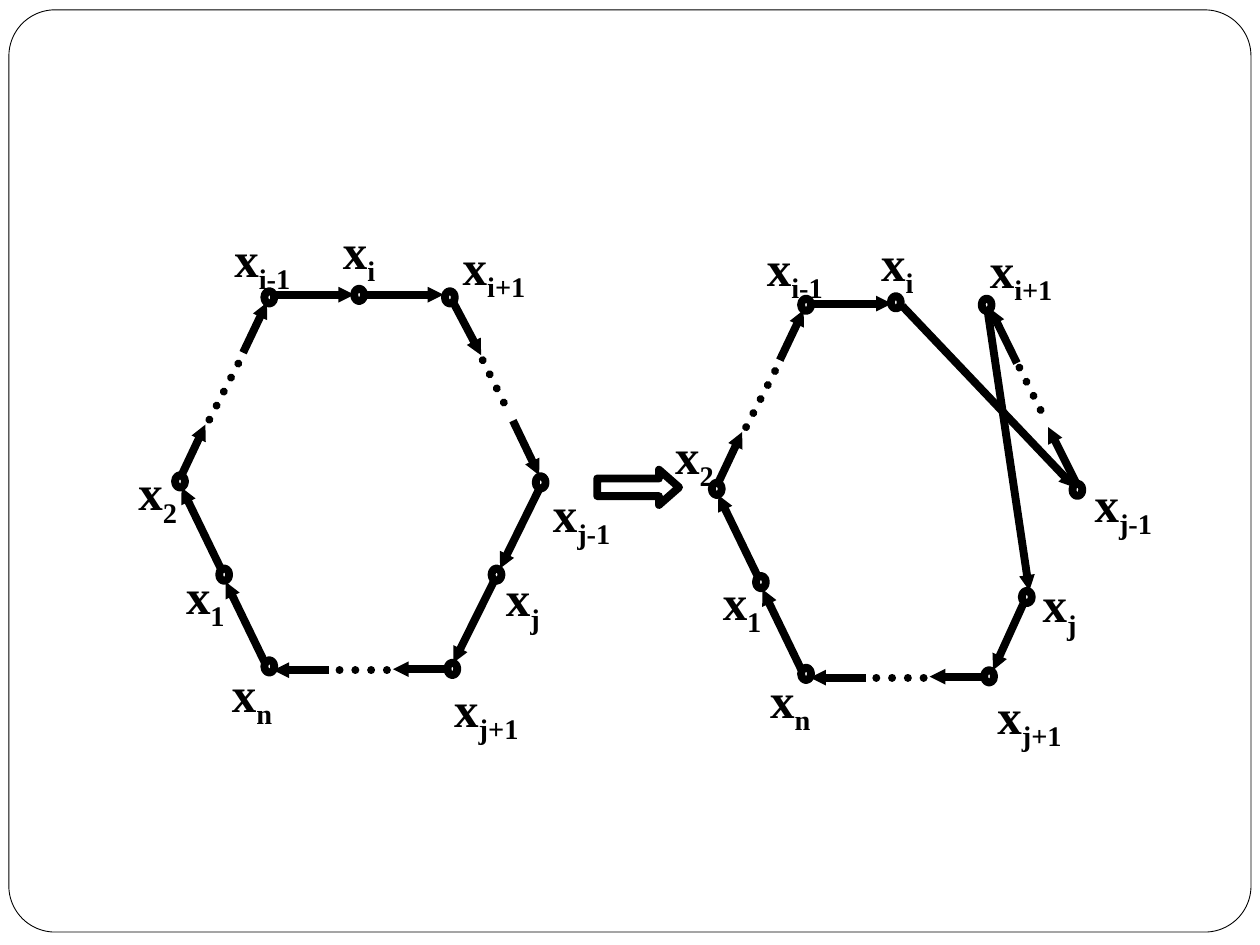
import pptx
import pptx.util
import pptx.dml.color
import pptx.enum.dml
import pptx.enum.shapes
import pptx.enum.text
from lxml import etree

Cm = pptx.util.Cm
Pt = pptx.util.Pt
KIND = pptx.enum.shapes.MSO_SHAPE
NS = "{http://schemas.openxmlformats.org/drawingml/2006/main}"
DARK, PALE = "000000", "FFFFFF"
STEP = (10.82, 0.15)  # from the left tour to the right one


def tint(part, code):
    """Give a fill or a line fill one solid colour."""
    part.solid()
    part.fore_color.rgb = pptx.dml.color.RGBColor.from_string(code)


deck = pptx.Presentation()
deck.slide_width, deck.slide_height = Cm(25.4), Cm(19.05)
slide = deck.slides.add_slide(deck.slide_layouts[6])

# Nodes: those in the same place in both tours, then x_j
same = [(10.8, 9.6), (4.42, 11.46), (9.02, 13.36), (5.33, 13.31), (8.97, 5.87),
        (5.33, 5.87), (3.53, 9.58), (7.14, 5.82)]
nodes = same + [(x + STEP[0], y + STEP[1]) for x, y in same]
nodes += [(9.91, 11.46), (20.6, 11.91)]

# Frame, block arrow and nodes: kind, box, adjustments, line width
forms = [
    (KIND.ROUNDED_RECTANGLE, (0.18, 0.2, 25.04, 18.59), [0.05], 0.5),
    (KIND.RIGHT_ARROW, (12.04, 9.47, 1.65, 0.71), [0.5, 0.57], 4.5),
]
forms += [(KIND.OVAL, (x, y, 0.2, 0.25), [], 4.5) for x, y in nodes]
for kind, box, bends, width in forms:
    shape = slide.shapes.add_shape(kind, *map(Cm, box))
    for i, bend in enumerate(bends):
        shape.adjustments[i] = bend
    shape.shadow.inherit = False
    tint(shape.fill, PALE)
    tint(shape.line.fill, DARK)
    shape.line.width = Pt(width)

# Edges
both = [
    (5.33, 13.34, 4.55, 11.73), (4.45, 11.46, 3.66, 9.83),
    (3.66, 9.58, 4.14, 8.56), (4.9, 7.11, 5.38, 6.1),
    (8.99, 13.49, 7.92, 13.49), (6.63, 13.51, 5.51, 13.51),
]
left = [
    (10.87, 9.86, 10.08, 11.46), (9.96, 11.71, 9.14, 13.36),
    (5.51, 5.94, 7.14, 5.94), (7.34, 5.94, 8.94, 5.94),
    (9.14, 6.1, 9.7, 7.16), (10.34, 8.48, 10.87, 9.58),
]
right = [
    (21.69, 9.73, 21.13, 8.61), (20.5, 7.32, 19.96, 6.22),
    (16.41, 6.12, 17.98, 6.12), (18.19, 6.17, 21.67, 9.83),
    (19.91, 6.27, 20.75, 11.91), (20.62, 12.19, 20.02, 13.51),
]
dots = [
    (4.22, 8.46, 4.85, 7.24), (7.8, 13.51, 6.76, 13.51),
    (9.73, 7.26, 10.29, 8.38),
]
edges = [(ends, False) for ends in both + left + right]
edges += [(ends, True) for ends in dots]
for group, dotted in ((both, False), (dots, True)):
    for ends in group:
        moved = [a + b for a, b in zip(ends, STEP * 2)]
        edges.append((moved, dotted))
for ends, dotted in edges:
    edge = slide.shapes.add_connector(
        pptx.enum.shapes.MSO_CONNECTOR.STRAIGHT, *map(Cm, ends))
    tint(edge.line.fill, DARK)
    edge.line.width = Pt(4.5)
    stroke = edge.line._get_or_add_ln()
    if dotted:
        edge.line.dash_style = pptx.enum.dml.MSO_LINE.ROUND_DOT
        stroke.set("cap", "rnd")
    else:
        etree.SubElement(stroke, NS + "tailEnd", type="triangle", w="sm", len="sm")
    etree.SubElement(edge._element.spPr, NS + "effectLst")

# Labels: subscript, left, top, width
labels = [
    ("1", 3.3, 11.18, 1.68), ("2", 2.34, 9.09, 1.68), ("n", 4.24, 13.16, 1.68),
    ("j+1", 8.74, 13.46, 2.13), ("j", 9.7, 11.23, 1.68), ("j-1", 10.57, 9.53, 2.31),
    ("i-1", 4.17, 4.39, 2.24), ("i", 6.4, 4.22, 1.68), ("i+1", 8.84, 4.55, 2.24),
    ("1", 14.12, 11.3, 1.68), ("2", 13.16, 8.36, 1.68), ("n", 15.09, 13.28, 1.68),
    ("j+1", 19.56, 13.59, 2.39), ("j", 20.52, 11.35, 1.68), ("j-1", 21.39, 9.32, 2.51),
    ("i-1", 14.78, 4.57, 2.49), ("i", 17.25, 4.47, 1.68), ("i+1", 19.43, 4.6, 2.31),
]
frame = {"word_wrap": True, "margin_top": Cm(0.22), "margin_bottom": Cm(0)}
face = {"name": "Times New Roman", "size": Pt(28), "bold": True}
for sub, x, y, width in labels:
    text = slide.shapes.add_textbox(Cm(x), Cm(y), Cm(width), Cm(1.22)).text_frame
    for key, value in frame.items():
        setattr(text, key, value)
    line = text.paragraphs[0]
    line.alignment = pptx.enum.text.PP_ALIGN.CENTER
    for word in ("x", sub):
        run = line.add_run()
        run.text = word
        for key, value in face.items():
            setattr(run.font, key, value)
        tint(run.font.fill, DARK)
    run.font._element.set("baseline", "-25000")

deck.save("out.pptx")
